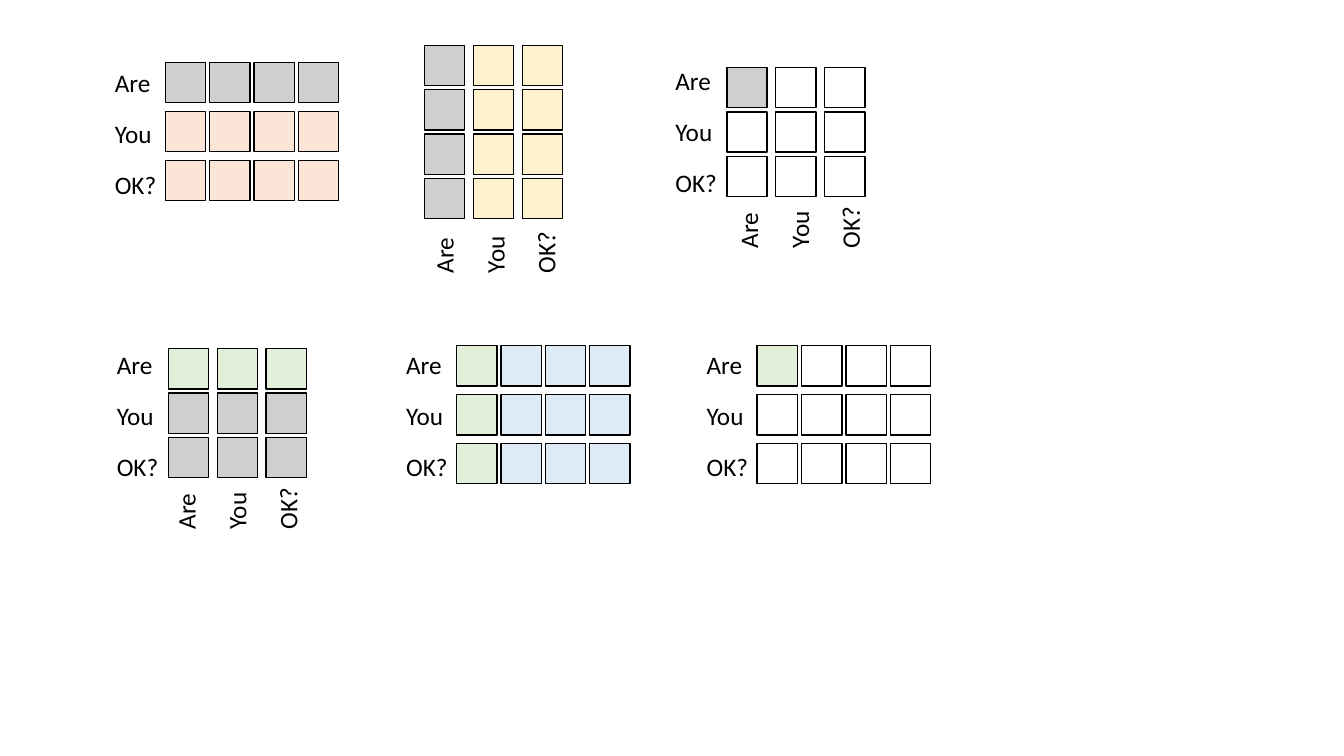
import dataclasses
import typing

import pptx
import pptx.dml.color
import pptx.enum.shapes
import pptx.enum.text
import pptx.shapes.shapetree
import pptx.util

Inches = pptx.util.Inches
Point = typing.Tuple[float, float]
Group = pptx.shapes.shapetree.GroupShapes

WORDS = ("Are", "You", "OK?")
FILLS = {
    "g": "D0CECE",
    "o": "FBE5D6",
    "y": "FFF2CC",
    "l": "E2F0D9",
    "b": "DEEBF7",
    ".": None,
}
CELL = 0.4
TIGHT = 0.44
WIDE = 0.97 / 2
STEP = 1.01 / 2
LABEL_W, LABEL_H = 0.62, 0.4


@dataclasses.dataclass
class Matrix:
    """A grid of cells; each letter in rows is a key of FILLS."""
    left: float
    top: float
    rows: typing.Tuple[str, ...]
    pitch: Point
    side: typing.Optional[Point] = None
    foot: typing.Optional[Point] = None


TOP_ROW = (
    Matrix(4.21, 0.45, ("gyy",) * 4, (WIDE, TIGHT), foot=(4.09, 2.3)),
    Matrix(1.64, 0.62, ("gggg", "oooo", "oooo"), (TIGHT, WIDE), side=(1.04, 0.62)),
    Matrix(7.21, 0.67, ("g..", "...", "..."), (WIDE, TIGHT),
           side=(6.6, 0.6), foot=(7.11, 2.05)),
)
LOW_ROW = (
    Matrix(7.51, 3.43, ("l...", "....", "...."), (TIGHT, WIDE), side=(6.91, 3.42)),
    Matrix(1.67, 3.46, ("lll", "ggg", "ggg"), (WIDE, TIGHT),
           side=(1.06, 3.42), foot=(1.53, 4.84)),
    Matrix(4.53, 3.43, ("lbbb",) * 3, (TIGHT, WIDE), side=(3.93, 3.42)),
)


def color(code: str) -> pptx.dml.color.RGBColor:
    return pptx.dml.color.RGBColor.from_string(code)


def add_cell(group: Group, left: float, top: float,
             fill: typing.Optional[str]) -> None:
    cell = group.add_shape(
        pptx.enum.shapes.MSO_SHAPE.RECTANGLE,
        Inches(left), Inches(top), Inches(CELL), Inches(CELL))
    cell.shadow.inherit = False
    if fill:
        cell.fill.solid()
        cell.fill.fore_color.rgb = color(fill)
    else:
        cell.fill.background()
    cell.line.color.rgb = color("000000")
    cell.line.width = pptx.util.Pt(1)


def add_text(group: Group, text: str, left: float, top: float, *,
             turn: float = 0, size: float = 18, font: str = "Calibri",
             ink: str = "000000") -> None:
    box = group.add_textbox(
        Inches(left), Inches(top), Inches(LABEL_W), Inches(LABEL_H))
    box.rotation = turn
    frame = box.text_frame
    frame.word_wrap = True
    frame.auto_size = pptx.enum.text.MSO_AUTO_SIZE.SHAPE_TO_FIT_TEXT
    frame.margin_right = 0
    run = frame.paragraphs[0].add_run()
    run.text = text
    run.font.size = pptx.util.Pt(size)
    run.font.name = font
    run.font.color.rgb = color(ink)


def add_matrix(group: Group, grid: Matrix) -> None:
    across, down = grid.pitch
    for row, keys in enumerate(grid.rows):
        for col, key in enumerate(keys):
            add_cell(group, grid.left + col * across,
                     grid.top + row * down, FILLS[key])
    for i, word in enumerate(WORDS):
        if grid.side:
            left, top = grid.side
            add_text(group, word, left, top + i * STEP)
        if grid.foot:
            left, top = grid.foot
            add_text(group, word, left + i * STEP, top, turn=270)


def main() -> None:
    deck = pptx.Presentation()
    deck.slide_width = Inches(13.33)
    deck.slide_height = Inches(7.5)
    slide = deck.slides.add_slide(deck.slide_layouts[6])
    for band in (TOP_ROW, LOW_ROW):
        group = slide.shapes.add_group_shape().shapes
        for grid in band:
            add_matrix(group, grid)
    deck.save("out.pptx")


if __name__ == "__main__":
    main()
